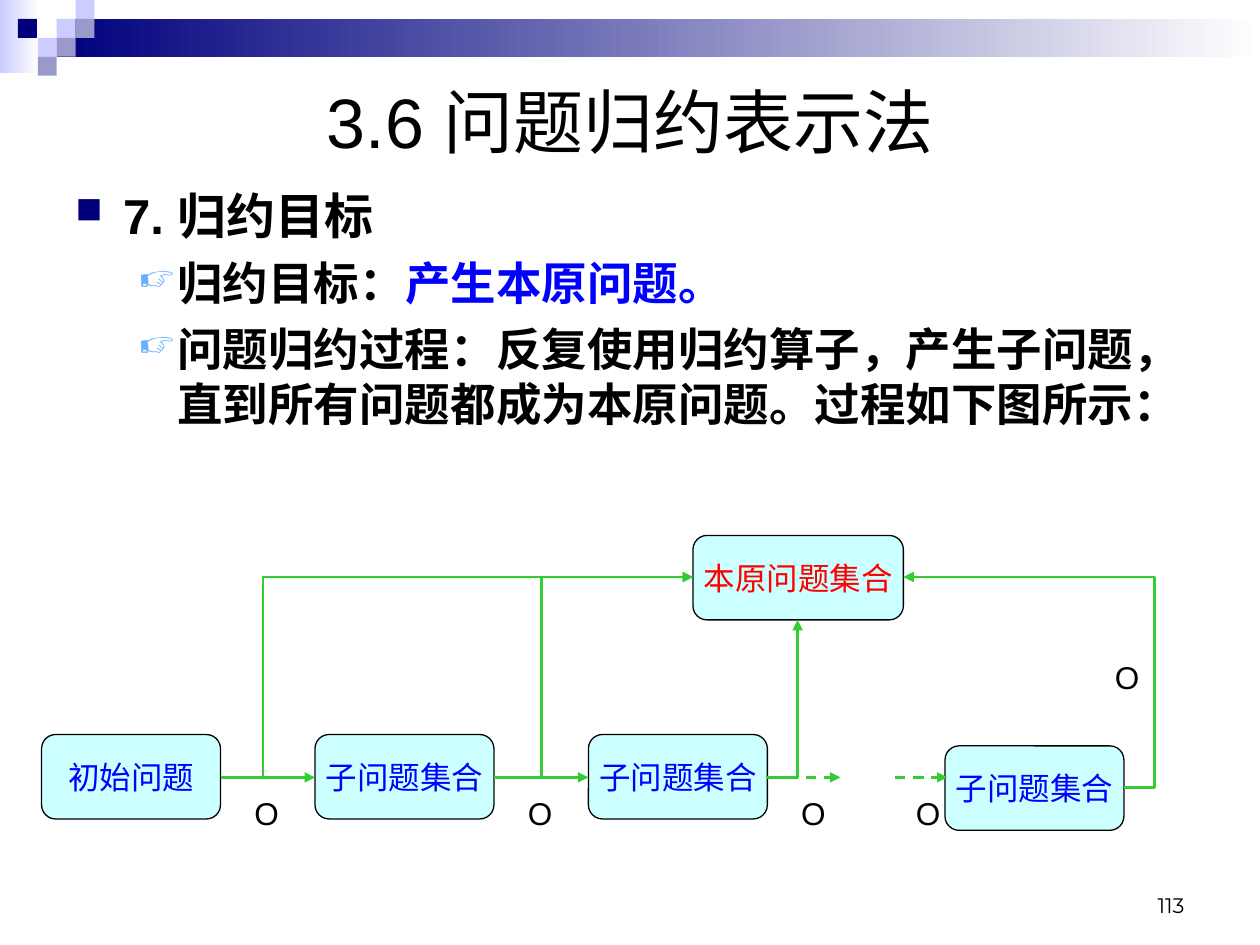
from lxml import etree
from pptx import Presentation
from pptx.dml.color import RGBColor
from pptx.enum.dml import MSO_LINE
from pptx.enum.shapes import MSO_CONNECTOR, MSO_SHAPE
from pptx.enum.text import MSO_ANCHOR, MSO_AUTO_SIZE, PP_ALIGN
from pptx.oxml.ns import qn
from pptx.util import Inches, Pt

BLACK = RGBColor(0x00, 0x00, 0x00)
WHITE = RGBColor(0xFF, 0xFF, 0xFF)
NAVY = RGBColor(0x00, 0x00, 0x7D)
LILAC = RGBColor(0xCC, 0xCC, 0xFF)
MAUVE = RGBColor(0x99, 0x99, 0xCC)
BLUE = RGBColor(0x00, 0x00, 0xFF)
RED = RGBColor(0xFF, 0x00, 0x00)
SKY = RGBColor(0x67, 0xAF, 0xFF)
CYAN = RGBColor(0xCC, 0xFF, 0xFF)
GREEN = RGBColor(0x33, 0xCC, 0x33)

RECT, ROUND = MSO_SHAPE.RECTANGLE, MSO_SHAPE.ROUNDED_RECTANGLE
LINE, ELBOW = MSO_CONNECTOR.STRAIGHT, MSO_CONNECTOR.ELBOW
DASH = MSO_LINE.DASH
LEFT, CENTER, RIGHT = PP_ALIGN.LEFT, PP_ALIGN.CENTER, PP_ALIGN.RIGHT
TOP, MIDDLE, BOTTOM = MSO_ANCHOR.TOP, MSO_ANCHOR.MIDDLE, MSO_ANCHOR.BOTTOM
GROW = MSO_AUTO_SIZE.SHAPE_TO_FIT_TEXT


def style(para, size, color=BLACK, align=CENTER, face="Arial", bold=False):
    """Set the font and alignment of a paragraph."""
    para.alignment = align
    font = para.font
    font.name, font.size, font.bold = face, Pt(size), bold
    font.color.rgb = color


def add_sub(parent, tag, **attrs):
    """Append a DrawingML element to a parent."""
    return etree.SubElement(parent, qn(f"a:{tag}"), **attrs)


def add_bullet(para, char, color, size, left, hang):
    """Give a paragraph a hanging bullet."""
    props = para._p.get_or_add_pPr()
    props.set("marL", str(Inches(left)))
    props.set("indent", str(-Inches(hang)))
    add_sub(add_sub(props, "buClr"), "srgbClr", val=str(color))
    add_sub(props, "buSzPct", val=str(size * 1000))
    add_sub(props, "buChar", char=char)


def add_block(slide, left, top, width, height, *colors):
    """Add a plain rectangle with a solid or a two-colour fill."""
    block = slide.shapes.add_shape(
        RECT, Inches(left), Inches(top), Inches(width), Inches(height))
    block.shadow.inherit = False
    block.line.fill.background()
    if len(colors) == 1:
        block.fill.solid()
        block.fill.fore_color.rgb = colors[0]
        return
    block.fill.gradient()
    block.fill.gradient_angle = 0
    for stop, color in zip(block.fill.gradient_stops, colors):
        stop.color.rgb = color


def add_banner(slide, left, top, width):
    """Draw the top band and its mosaic of squares."""
    side = 0.15
    add_block(slide, left, top, 0.31, 0.58, LILAC, WHITE)
    add_block(slide, left + 3 * side, top + side,
              width - 3 * side, 2 * side, NAVY, WHITE)
    tiles = [(3, 1, LILAC), (4, 0, LILAC), (4, 1, MAUVE), (2, 2, LILAC),
             (0.95, 1, NAVY), (3, 2, MAUVE), (2, 3, MAUVE)]
    for col, row, color in tiles:
        add_block(slide, left + col * side, top + row * side, side, side, color)


def add_title(slide, left, top, width, height):
    """Place and format the title."""
    title = slide.shapes.title
    title.left, title.top = Inches(left), Inches(top)
    title.width, title.height = Inches(width), Inches(height)
    frame = title.text_frame
    frame.vertical_anchor = MIDDLE
    frame.text = "3.6 问题归约表示法"
    style(frame.paragraphs[0], 40)


def add_text(slide, left, top, width, height, wrap=True, anchor=TOP):
    """Add a text box and return its frame."""
    box = slide.shapes.add_textbox(
        Inches(left), Inches(top), Inches(width), Inches(height))
    frame = box.text_frame
    frame.word_wrap, frame.vertical_anchor = wrap, anchor
    return frame


def add_body(slide, left, top, width, height):
    """Write the heading and its two points."""
    frame = add_text(slide, left, top, width, height)
    head = frame.paragraphs[0]
    head.text = "7. 归约目标"
    add_bullet(head, "■", NAVY, 75, 0.38, 0.38)
    style(head, 28, align=LEFT, bold=True)
    points = [
        ("归约目标：", "产生本原问题。"),
        ("问题归约过程：反复使用归约算子，产生子问题，"
         "直到所有问题都成为本原问题。过程如下图所示：", ""),
    ]
    for text, key in points:
        para = frame.add_paragraph()
        para.level = 1
        add_bullet(para, "☞", SKY, 80, 0.81, 0.31)
        para.space_before = Pt(6.5)
        style(para, 26, align=LEFT, bold=True)
        para.add_run().text = text
        if key:
            run = para.add_run()
            run.text = key
            run.font.color.rgb = BLUE


def add_node(slide, left, top, width, text, color=BLUE):
    """Add a rounded box of the flow."""
    node = slide.shapes.add_shape(
        ROUND, Inches(left), Inches(top), Inches(width), Inches(0.67))
    node.shadow.inherit = False
    node.fill.solid()
    node.fill.fore_color.rgb = CYAN
    node.line.color.rgb = BLACK
    node.line.width = Pt(0.75)
    frame = node.text_frame
    frame.word_wrap, frame.vertical_anchor = False, MIDDLE
    frame.text = text
    style(frame.paragraphs[0], 18, color)


def add_mark(slide, left, top):
    """Add an operator label."""
    frame = add_text(slide, left, top, 0.39, 0.4, wrap=False)
    frame.auto_size = GROW
    frame.text = "O"
    style(frame.paragraphs[0], 18)


def add_arrow(slide, start, end, kind=LINE, bend=None, dash=None):
    """Add a green arrow; an elbow with no bend turns once."""
    arrow = slide.shapes.add_connector(
        kind, *(Inches(value) for value in (*start, *end)))
    arrow.line.color.rgb = GREEN
    arrow.line.width = Pt(1.5)
    if dash:
        arrow.line.dash_style = dash
    props = arrow._element.spPr
    add_sub(props.find(qn("a:ln")), "tailEnd", type="triangle")
    add_sub(props, "effectLst")
    if kind == ELBOW:
        shape = props.find(qn("a:prstGeom"))
        if bend is None:
            shape.set("prst", "bentConnector2")
        else:
            add_sub(shape.find(qn("a:avLst")), "gd", name="adj1",
                    fmla=f"val {round(bend * 100000)}")


def add_flow(slide, left, top):
    """Draw the reduction flow from its top left corner."""
    wide, step = 1.42, 2.17
    row, mid = top + 1.58, top + 1.92
    goal, port = (left + 5.17, top), top + 0.33
    names = ["初始问题", "子问题集合", "子问题集合"]
    for index, name in enumerate(names):
        spot = left + index * step
        add_node(slide, spot, row, wide, name)
        add_mark(slide, spot + 1.59, top + 2)
    add_node(slide, *goal, 1.67, "本原问题集合", RED)
    last = left + 7.17
    add_node(slide, last, row + 0.09, wide, names[-1])
    add_mark(slide, last - 0.33, top + 2)
    add_mark(slide, last + 1.25, top + 0.92)
    for index, bend in enumerate((0.09, 0.24)):
        tail = left + index * step + wide
        add_arrow(slide, (tail, mid), (tail + 0.75, mid))
        add_arrow(slide, (tail, mid), (goal[0], port), ELBOW, bend)
    for spot in (left + 5.92, left + 6.77):
        add_arrow(slide, (spot, mid), (spot + 0.42, mid), dash=DASH)
    add_arrow(slide, (last + wide, top + 2), (goal[0] + 1.67, port), ELBOW, -0.14)
    add_arrow(slide, (left + 5.75, mid), (left + 6, top + 0.67), ELBOW)


def add_number(slide, left, top, width, height):
    """Write the page number."""
    frame = add_text(slide, left, top, width, height, anchor=BOTTOM)
    frame.text = "113"
    style(frame.paragraphs[0], 12, align=RIGHT, face="Montserrat")


def main():
    """Build and save the slide."""
    deck = Presentation()
    deck.slide_width, deck.slide_height = Inches(10), Inches(7.5)
    slide = deck.slides.add_slide(deck.slide_layouts[5])
    add_banner(slide, 0, 0, 10)
    add_title(slide, 0.5, 0.5, 9, 0.92)
    add_body(slide, 0.5, 1.42, 9, 5.33)
    add_flow(slide, 0.33, 4.25)
    add_number(slide, 7.17, 6.83, 2.33, 0.5)
    deck.save("out.pptx")


if __name__ == "__main__":
    main()
